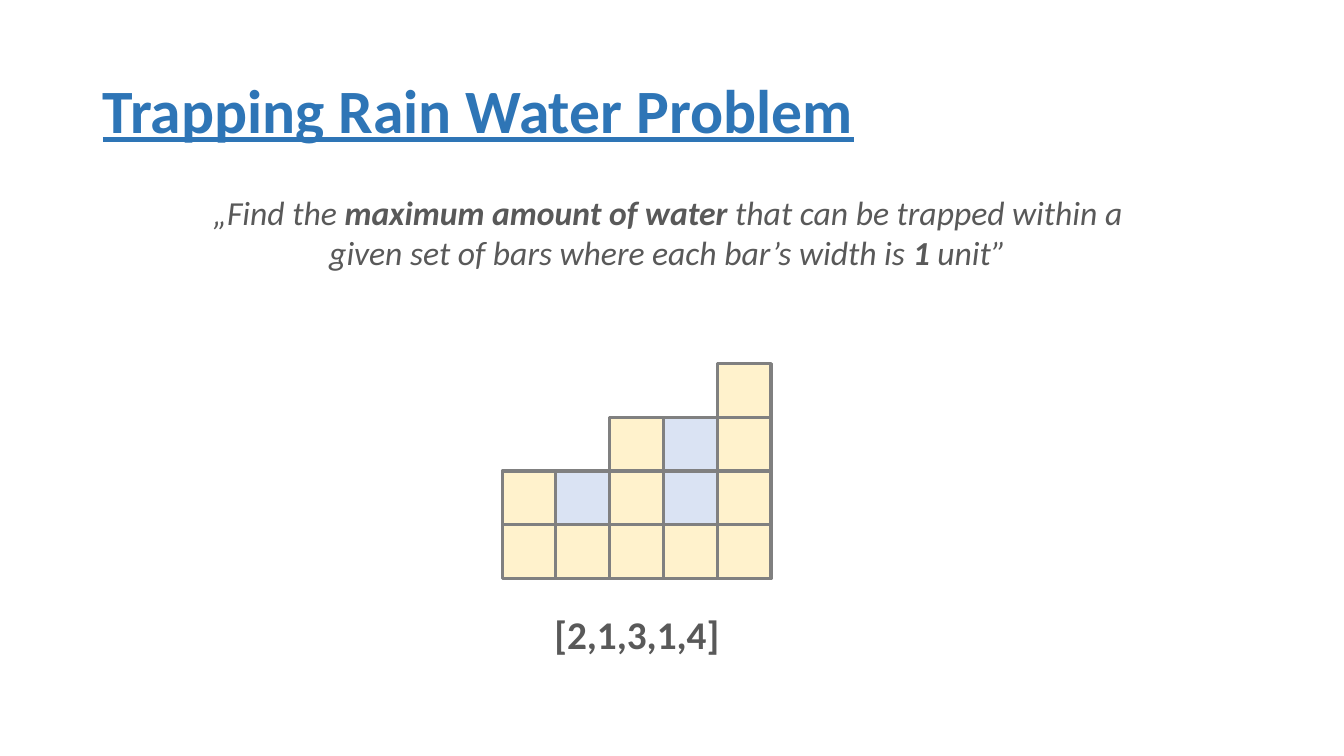
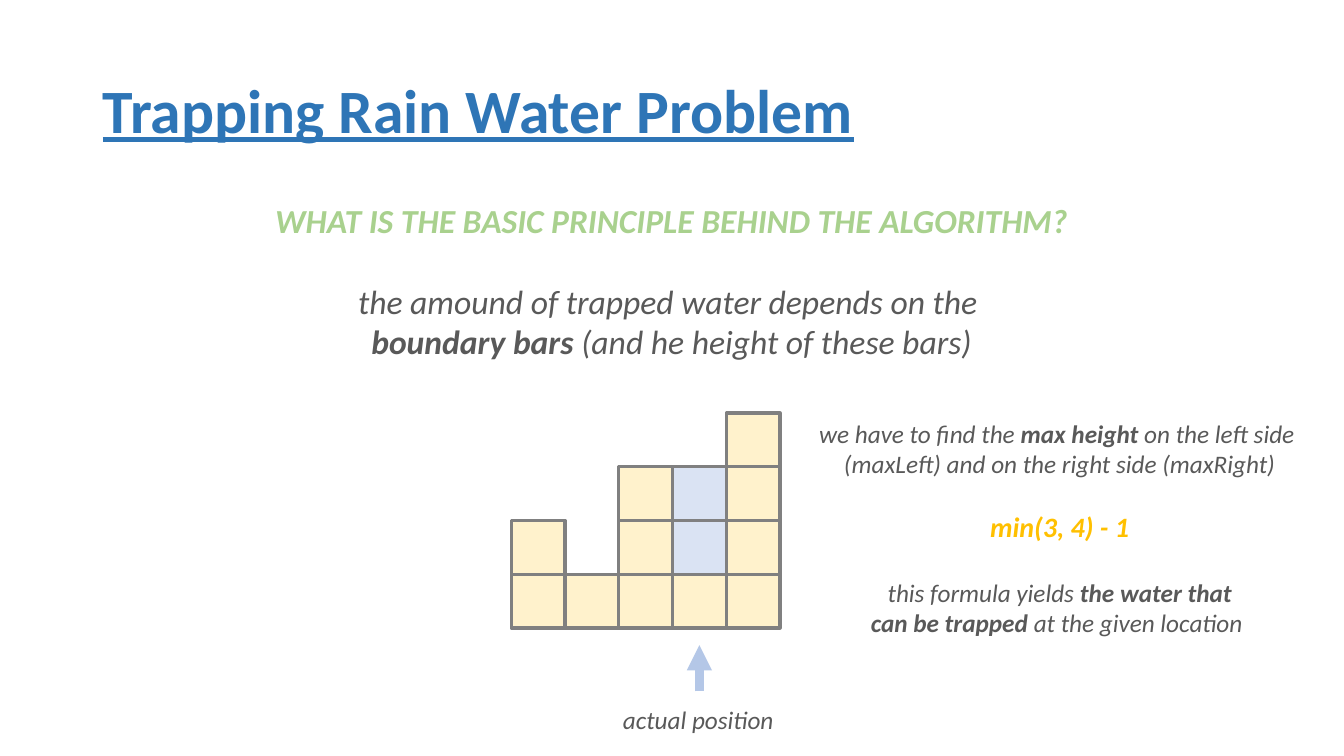
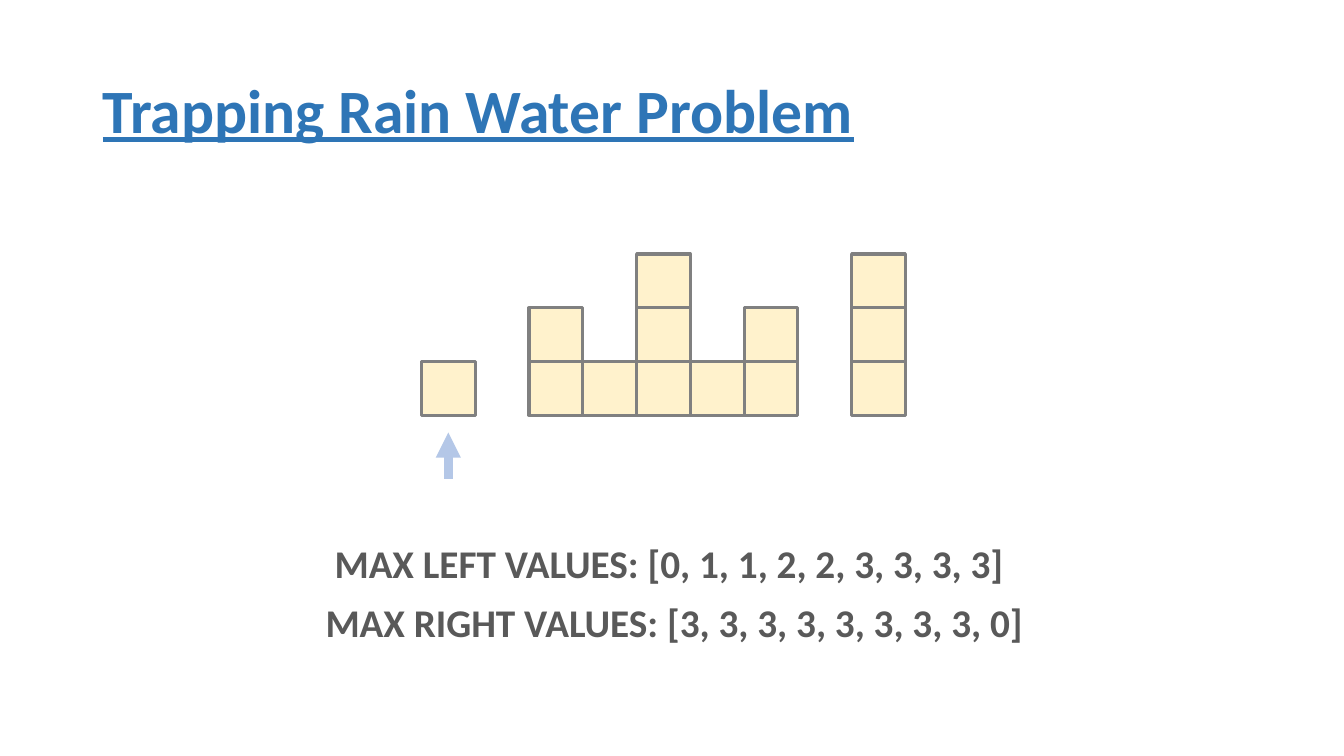
from dataclasses import dataclass

from lxml import etree
from pptx import Presentation, util as u
from pptx.dml.color import RGBColor
from pptx.enum import shapes, text
from pptx.oxml import ns


@dataclass(frozen=True)
class Theme:
    font: str = "Calibri"
    title: str = "2E75B6"
    ink: str = "595959"
    question: str = "A9D18E"
    formula: str = "FFC000"
    bar: str = "FFF2CC"
    water: str = "DAE3F3"
    edge: str = "808080"
    pointer: str = "B4C7E7"
    title_size: int = 44
    array_size: int = 28
    body_size: int = 24
    formula_size: int = 20
    note_size: int = 18
    edge_width: float = 2.25
    pointer_width: float = 6
    cell: float = 1.6 / 3


class Deck:
    """Draws the bar diagrams and texts of the lesson in one style."""

    def __init__(self, theme):
        self.theme = theme
        self.prs = Presentation()
        self.prs.slide_width, self.prs.slide_height = u.Inches(13.33), u.Inches(7.5)
        self.slide = None

    def add_slide(self, heading):
        self.slide = self.prs.slides.add_slide(self.prs.slide_layouts[5])
        title = self.slide.shapes.title
        place = dict(left=0.92, top=0.4, width=11.5, height=1.45)
        for side, length in place.items():
            setattr(title, side, u.Inches(length))
        frame = title.text_frame
        frame.auto_size = text.MSO_AUTO_SIZE.NONE
        frame.vertical_anchor = text.MSO_ANCHOR.MIDDLE
        paragraph = frame.paragraphs[0]
        paragraph.alignment = text.PP_ALIGN.LEFT
        paragraph.line_spacing = 0.9
        self.add_run(paragraph, heading, self.theme.title, self.theme.title_size,
                     bold=True, underline=True)

    def add_run(self, paragraph, words, color, size, **styles):
        run = paragraph.add_run()
        run.text = words
        run.font.color.rgb = RGBColor.from_string(color)
        styles.update(name=self.theme.font, size=u.Pt(size))
        for attribute, setting in styles.items():
            setattr(run.font, attribute, setting)

    def add_text(self, place, lines, size, wrap=False, italic=True,
                 align=text.PP_ALIGN.CENTER):
        box = self.slide.shapes.add_textbox(*map(u.Inches, place))
        frame = box.text_frame
        frame.word_wrap = wrap
        frame.auto_size = text.MSO_AUTO_SIZE.SHAPE_TO_FIT_TEXT
        for index, line in enumerate(lines):
            line = {"words": line} if isinstance(line, str) else line
            paragraph = frame.add_paragraph() if index else frame.paragraphs[0]
            paragraph.alignment = align
            paragraph.space_before = u.Pt(line.get("before", 0))
            for part, words in enumerate(line["words"].split("*")):
                if words:
                    self.add_run(paragraph, words, line.get("color", self.theme.ink),
                                 line.get("size", size), bold=part % 2 == 1, italic=italic)

    def add_array(self, place, words):
        self.add_text(place, [f"*{words}*"], self.theme.array_size, italic=False,
                      align=text.PP_ALIGN.LEFT)

    def add_cell(self, left, top, color):
        side = u.Inches(self.theme.cell)
        cell = self.slide.shapes.add_shape(shapes.MSO_SHAPE.RECTANGLE, u.Inches(left),
                                           u.Inches(top), side, side)
        cell.shadow.inherit = False
        cell.fill.solid()
        cell.fill.fore_color.rgb = RGBColor.from_string(color)
        cell.line.color.rgb = RGBColor.from_string(self.theme.edge)
        cell.line.width = u.Pt(self.theme.edge_width)

    def add_bars(self, left, ground, heights, water=()):
        size = self.theme.cell
        bars = [(column, level) for column, height in enumerate(heights)
                for level in range(height)]
        for cells, color in ((bars, self.theme.bar), (water, self.theme.water)):
            for column, level in cells:
                self.add_cell(left + column * size, ground - (level + 1) * size, color)

    def add_pointer(self, left, ground, column):
        center = u.Inches(left + (column + 0.5) * self.theme.cell)
        arrow = self.slide.shapes.add_connector(
            shapes.MSO_CONNECTOR.STRAIGHT, center, u.Inches(ground + 0.63),
            center, u.Inches(ground + 0.17))
        arrow.line.color.rgb = RGBColor.from_string(self.theme.pointer)
        arrow.line.width = u.Pt(self.theme.pointer_width)
        outline = arrow.line._get_or_add_ln()
        etree.SubElement(outline, ns.qn("a:tailEnd"), type="triangle")
        etree.SubElement(outline.getparent(), ns.qn("a:effectLst"))


def main():
    theme = Theme()
    deck = Deck(theme)
    heading = "Trapping Rain Water Problem"
    example = [2, 1, 3, 1, 4]
    right_pool = [(3, 1), (3, 2)]

    deck.add_slide(heading)
    deck.add_text((1.07, 1.85, 11.18, 0.91), [
        "„Find the *maximum amount of water *that can be trapped within a ",
        "given set of bars where each bar’s width is *1* unit” ",
    ], theme.body_size, wrap=True)
    deck.add_bars(4.98, 5.74, example, [(1, 1)] + right_pool)
    deck.add_array((5.4, 6.01, 1.86, 0.57), "[2,1,3,1,4]")

    deck.add_slide(heading)
    deck.add_text((1.07, 1.93, 11.18, 1.73), [
        dict(words="*WHAT IS THE BASIC PRINCIPLE BEHIND THE ALGORITHM?*",
             color=theme.question),
        dict(words="the amound of trapped water depends on the ", before=29.3),
        "*boundary bars *(and he height of these bars)",
    ], theme.body_size, wrap=True)
    example_left, example_ground = 5.07, 6.23
    deck.add_bars(example_left, example_ground, example, right_pool)
    deck.add_pointer(example_left, example_ground, 3)
    deck.add_text((7.99, 4.1, 5.04, 2.66), [
        "we have to find the* max height* on the left side ",
        "(maxLeft) and on the right side (maxRight)",
        dict(words="*min(3, 4) - 1*", color=theme.formula, size=theme.formula_size,
             before=22),
        dict(words="this formula yields *the water that*", before=24.4),
        "*can be trapped *at the given location ",
    ], theme.note_size)
    deck.add_text((6.07, 6.94, 1.71, 0.4), ["actual position"], theme.note_size)

    deck.add_slide(heading)
    terrain_left, terrain_ground = 4.18, 4.12
    deck.add_bars(terrain_left, terrain_ground, [1, 0, 2, 1, 3, 1, 2, 0, 3])
    deck.add_pointer(terrain_left, terrain_ground, 0)
    deck.add_array((3.22, 5.3, 6.93, 0.57), "MAX LEFT VALUES: [0, 1, 1, 2, 2, 3, 3, 3, 3]")
    deck.add_array((3.13, 5.89, 7.21, 0.57), "MAX RIGHT VALUES: [3, 3, 3, 3, 3, 3, 3, 3, 0]")

    deck.prs.save("out.pptx")


if __name__ == "__main__":
    main()
